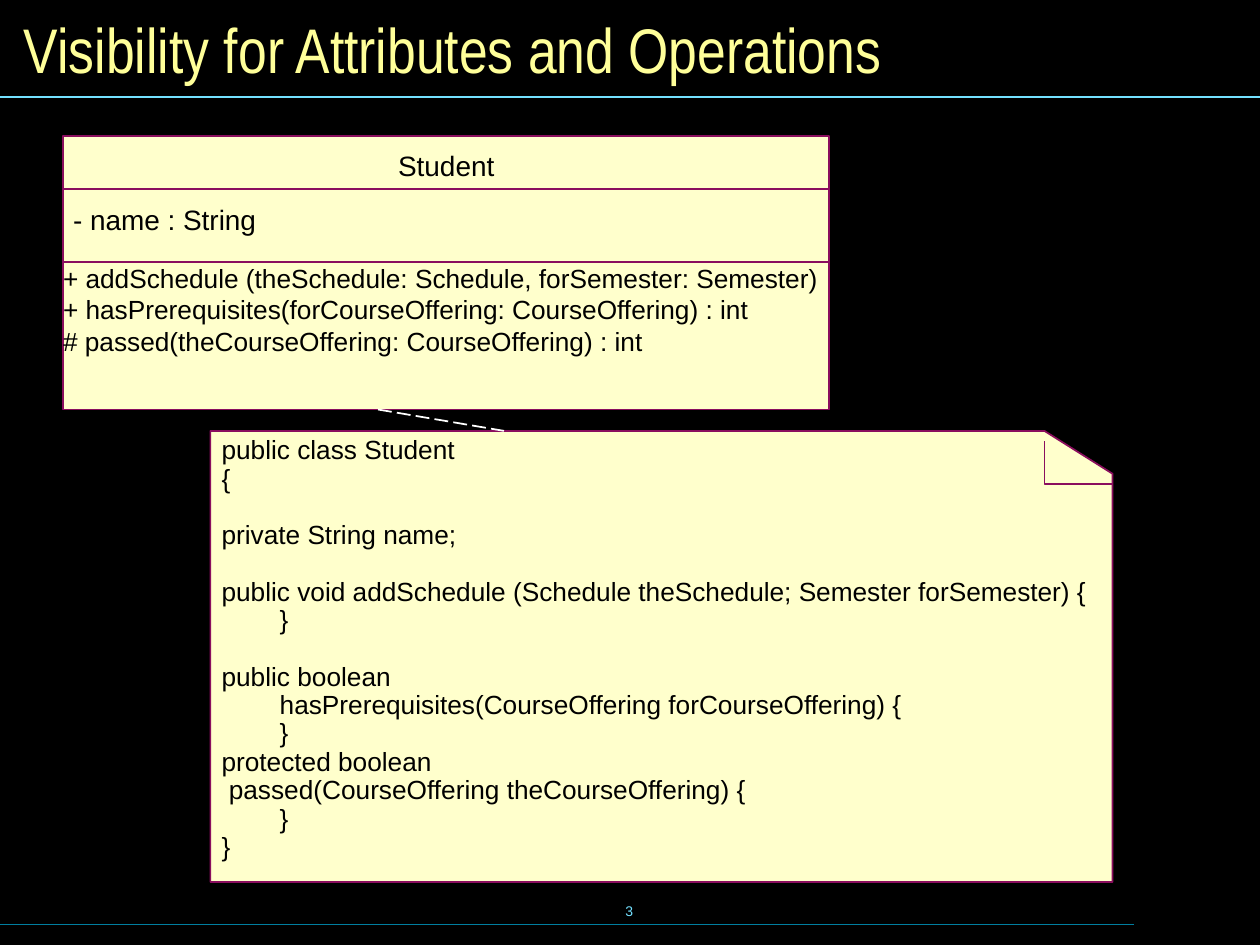
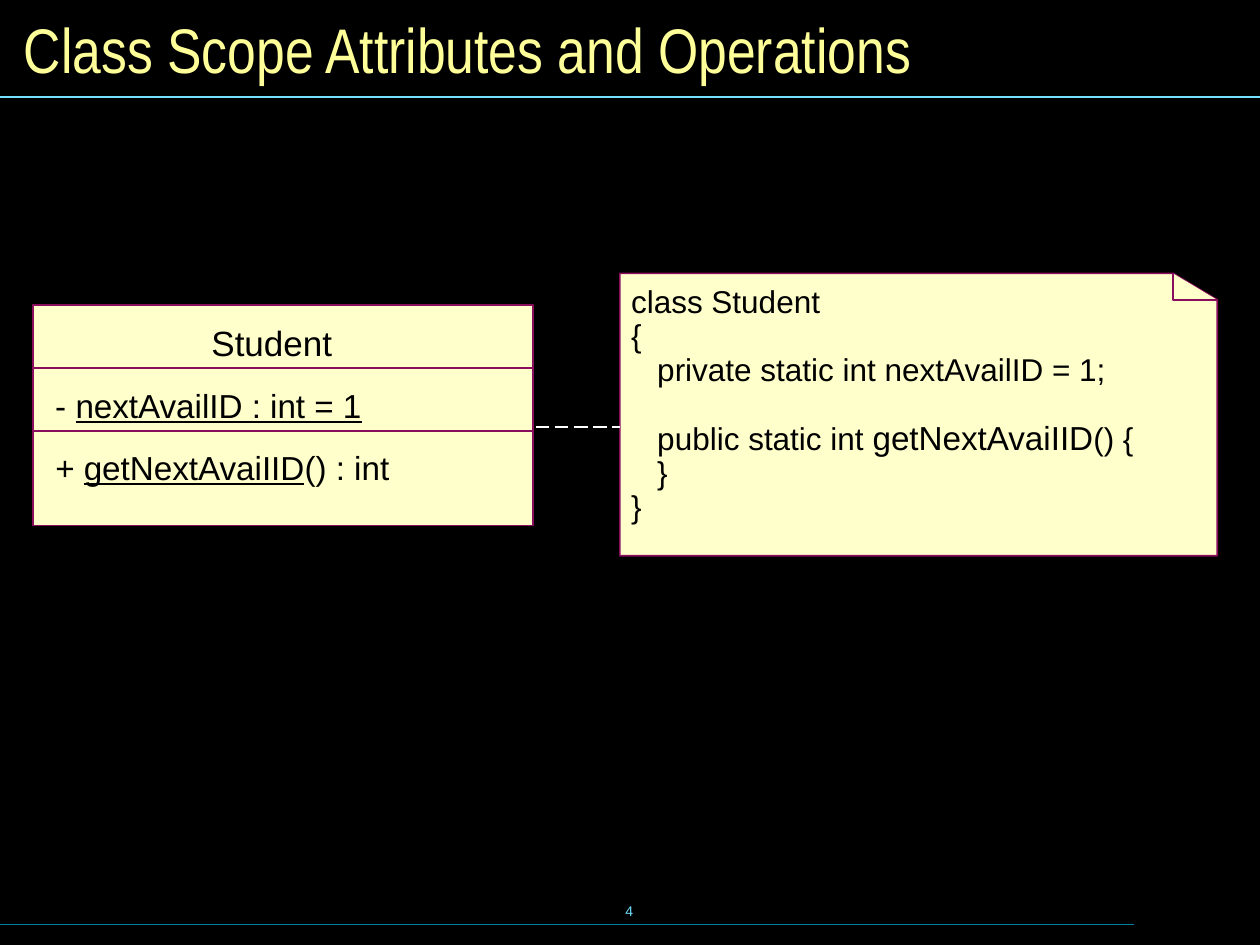
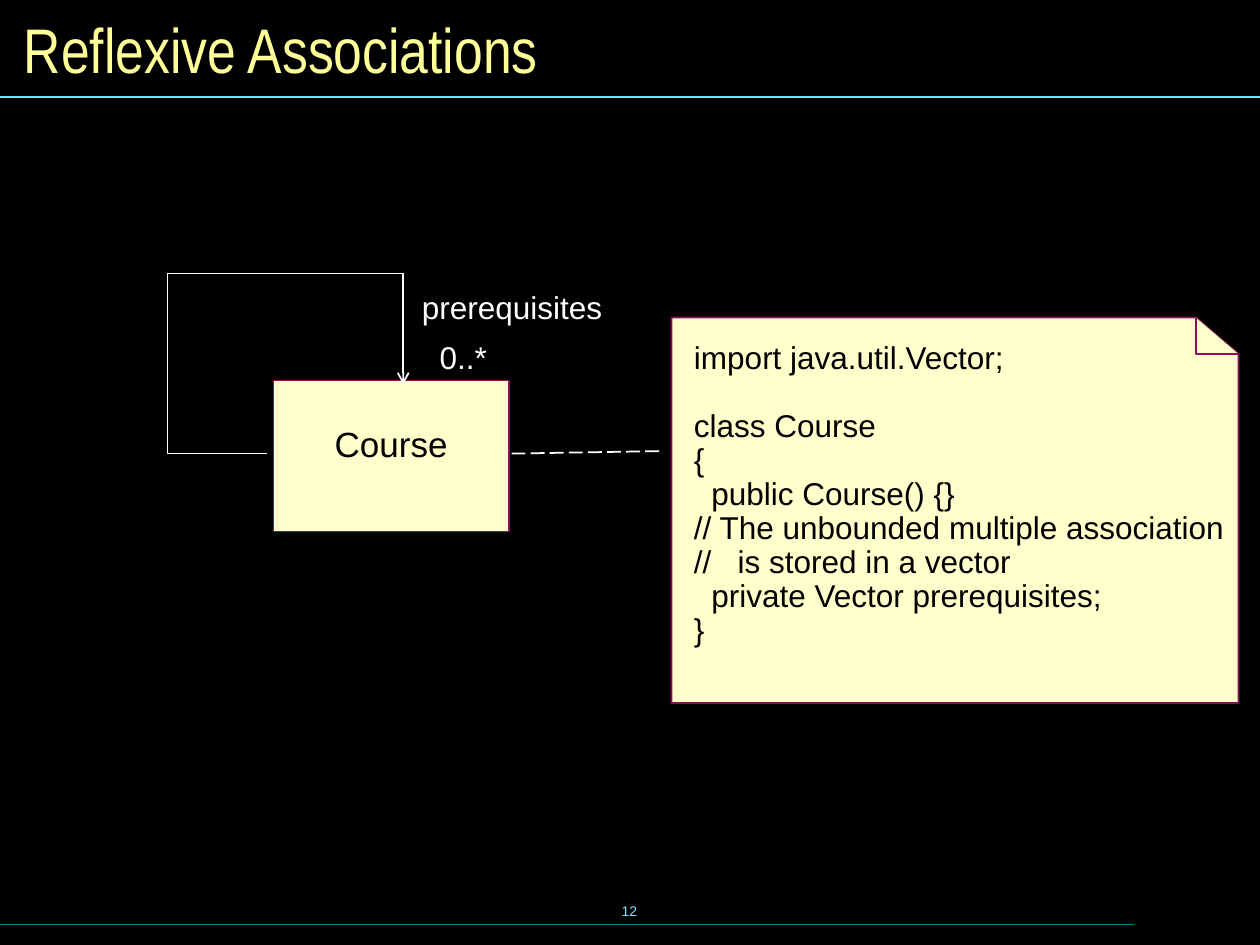
"""Build three slides on class diagrams and the code they stand for."""
import lxml.etree
import pptx
import pptx.dml.color
import pptx.enum.dml
import pptx.enum.shapes
import pptx.enum.text
import pptx.oxml.ns
import pptx.util

RGBColor = pptx.dml.color.RGBColor
Inches = pptx.util.Inches
Pt = pptx.util.Pt
Align = pptx.enum.text.PP_ALIGN
Anchor = pptx.enum.text.MSO_ANCHOR
AutoSize = pptx.enum.text.MSO_AUTO_SIZE
qn = pptx.oxml.ns.qn

BLACK = RGBColor(0x00, 0x00, 0x00)
WHITE = RGBColor(0xFF, 0xFF, 0xFF)
CREAM = RGBColor(0xFF, 0xFF, 0xCC)
PLUM = RGBColor(0x8A, 0x0E, 0x5E)
YELLOW = RGBColor(0xFF, 0xFF, 0x99)
SKY = RGBColor(0x73, 0xE1, 0xFF)
TEAL = RGBColor(0x00, 0x7E, 0x9F)

BODY_FONT = "Arial"
TITLE_FONT = "Arial Narrow"
TITLE_AT = (0.09, 0.09, 9.83, 0.58)
NUMBER_AT = (3.41, 6.98, 3.17, 0.5)
RULES = [((0, 7.34), (9, 7.34), TEAL), ((0, 0.77), (10, 0.77), SKY)]
CODE_SPACING = 0.9
LINE_HEIGHT = 1.19

SLIDES = [
    {
        "title": "Visibility for Attributes and Operations",
        "number": 3,
        "class_box": {"at": (0.5, 1.08, 6.08, 2.17), "border": 0, "dividers": [1.5, 2.08]},
        "note": {"at": (1.67, 3.42, 7.16, 3.58), "fold": (0.54, 0.34), "fold_drop": 0.08},
        "code": {
            "at": (1.66, 3.42, 7.58, 3.47),
            "size": 15,
            "blocks": [
                ["public class Student", "{"],
                ["private String name;"],
                ["public void addSchedule (Schedule theSchedule; Semester forSemester) {",
                 "        }"],
                ["public boolean",
                 "        hasPrerequisites(CourseOffering forCourseOffering) {",
                 "        }",
                 "protected boolean",
                 " passed(CourseOffering theCourseOffering) {",
                 "        }",
                 "}"],
            ],
        },
        "labels": [
            {"at": (3.16, 1.18, 0.82, 0.27), "lines": ["Student"], "size": 16, "inset": 0},
            {"at": (0.58, 1.61, 1.51, 0.27), "lines": ["- name : String"], "size": 16, "inset": 0},
            {"at": (0.5, 2.08, 6.05, 0.75), "size": 15, "inset": 0,
             "lines": ["+ addSchedule (theSchedule: Schedule, forSemester: Semester)",
                       "+ hasPrerequisites(forCourseOffering: CourseOffering) : int",
                       "# passed(theCourseOffering: CourseOffering) : int"]},
        ],
        "note_link": ((3, 3.25), (4, 3.42)),
    },
    {
        "title": "Class Scope Attributes and Operations",
        "number": 4,
        "class_box": {"at": (0.26, 2.42, 3.97, 1.75), "border": 1, "dividers": [2.92, 3.42]},
        "note": {"at": (4.92, 2.17, 4.74, 2.24), "fold": (0.35, 0.21), "fold_drop": 0},
        "code": {
            "at": (4.91, 2.22, 4.92, 2),
            "size": 18,
            "blocks": [
                ["class Student", "{", "   private static int nextAvailID = 1;"],
                [[("   public static int ", {}), ("getNextAvaiIID", {"size": Pt(19)}), ("() {", {})],
                 "   }",
                 "}"],
            ],
        },
        "labels": [
            {"at": (1.58, 2.5, 1.2, 0.43), "lines": ["Student"], "size": 20},
            {"at": (0.34, 3.01, 2.7, 0.42), "size": 19,
             "lines": [[("- ", {}), ("nextAvailID : int = 1", {"underline": True})]]},
            {"at": (0.34, 3.5, 2.92, 0.42), "size": 19,
             "lines": [[("+ ", {}), ("getNextAvaiIID", {"underline": True}), ("() : int", {})]]},
        ],
        "note_link": ((4.25, 3.39), (4.92, 3.39)),
    },
    {
        "title": "Reflexive Associations",
        "number": 12,
        "class_box": {"at": (2.17, 3.02, 1.87, 1.2), "border": 1, "dividers": []},
        "note": {"at": (5.33, 2.52, 4.5, 3.06), "fold": (0.34, 0.29), "fold_drop": 0},
        "code": {
            "at": (5.41, 2.67, 4.5, 2.52),
            "size": 18,
            "blocks": [
                ["import java.util.Vector;"],
                ["class Course",
                 "{",
                 "  public Course() {}",
                 "// The unbounded multiple association",
                 "//   is stored in a vector",
                 "  private Vector prerequisites;",
                 "}"],
            ],
        },
        "labels": [
            {"at": (2.53, 3.34, 1.15, 0.39), "lines": ["Course"], "size": 20,
             "spacing": CODE_SPACING, "align": Align.CENTER},
            {"at": (3.25, 2.27, 1.68, 0.36), "lines": ["prerequisites"], "size": 18,
             "spacing": CODE_SPACING, "color": WHITE},
            {"at": (3.39, 2.67, 0.63, 0.36), "lines": ["0..*"], "size": 18,
             "spacing": CODE_SPACING, "color": WHITE},
        ],
        "note_link": ((4.06, 3.6), (5.25, 3.58)),
        "self_link": [(2.12, 3.6), (1.33, 3.6), (1.33, 2.17), (3.2, 2.17), (3.2, 3.05)],
    },
]


def inches(values):
    return [Inches(value) for value in values]


def set_font(font, size, color, name=BODY_FONT):
    font.size, font.name, font.color.rgb = Pt(size), name, color


def set_frame(frame, inset=0.1, wrap=False, anchor=Anchor.TOP, auto_size=AutoSize.SHAPE_TO_FIT_TEXT):
    frame.margin_left = frame.margin_right = Inches(inset)
    frame.margin_top = frame.margin_bottom = Inches(inset / 2)
    frame.word_wrap, frame.vertical_anchor, frame.auto_size = wrap, anchor, auto_size


def write_line(paragraph, line, size, color):
    parts = [(line, {})] if isinstance(line, str) else line
    for text, changes in parts:
        run = paragraph.add_run()
        run.text = text
        set_font(run.font, size, color)
        for attribute, value in changes.items():
            setattr(run.font, attribute, value)


def add_label(slide, at, lines, size, inset=0.1, spacing=1.0, color=BLACK,
              align=Align.LEFT, wrap=True):
    frame = slide.shapes.add_textbox(*inches(at)).text_frame
    set_frame(frame, inset, wrap)
    for index, line in enumerate(lines):
        paragraph = frame.add_paragraph() if index else frame.paragraphs[0]
        paragraph.alignment, paragraph.line_spacing = align, spacing
        write_line(paragraph, line, size, color)
    return frame


def add_code(slide, at, size, blocks):
    lines = [line for block in blocks for line in block]
    frame = add_label(slide, at, lines, size, spacing=CODE_SPACING)
    start = 0
    for block in blocks[:-1]:
        start += len(block)
        frame.paragraphs[start].space_before = Pt(round(size * LINE_HEIGHT * CODE_SPACING, 1))


def add_line(shapes, start, end, color, width=1.0, dashed=False, arrow=False):
    connector = shapes.add_connector(pptx.enum.shapes.MSO_CONNECTOR.STRAIGHT, *inches(start + end))
    connector.line.color.rgb, connector.line.width = color, Pt(width)
    if dashed:
        connector.line.dash_style = pptx.enum.dml.MSO_LINE.LONG_DASH
    properties = connector.element.spPr
    if arrow:
        lxml.etree.SubElement(properties.find(qn("a:ln")), qn("a:tailEnd"), type="arrow")
    lxml.etree.SubElement(properties, qn("a:effectLst"))


def paint(shape, border=1):
    shape.shadow.inherit = False
    shape.fill.solid()
    shape.fill.fore_color.rgb = CREAM
    shape.line.color.rgb, shape.line.width = PLUM, Pt(border)


def add_outline(slide, points, close):
    start, *others = [inches(point) for point in points]
    builder = slide.shapes.build_freeform(*start)
    builder.add_line_segments(others, close=close)
    paint(builder.convert_to_shape())


def add_note(slide, at, fold, fold_drop):
    left, top, width, height = at
    right, bottom = left + width, top + height
    fold_x, fold_y = right - fold[0], top + fold[1]
    add_outline(slide, [(right, bottom), (left, bottom), (left, top), (fold_x, top), (right, fold_y)], True)
    add_outline(slide, [(right, fold_y + fold_drop), (fold_x, fold_y + fold_drop), (fold_x, top + fold_drop)], False)


def add_class_box(slide, at, border, dividers):
    box = slide.shapes.add_shape(pptx.enum.shapes.MSO_SHAPE.RECTANGLE, *inches(at))
    paint(box, border)
    left, _, width, _ = at
    for y in dividers:
        add_line(slide.shapes, (left, y), (left + width, y), PLUM)


def add_frame(slide, title, number):
    for start, end, color in RULES:
        add_line(slide.shapes, start, end, color, 0.75)
    page = slide.shapes.add_textbox(*inches(NUMBER_AT)).text_frame
    set_frame(page, anchor=Anchor.MIDDLE, auto_size=AutoSize.NONE)
    page.text = str(number)
    page.paragraphs[0].alignment = Align.CENTER
    set_font(page.paragraphs[0].runs[0].font, 8, SKY)

    heading = slide.shapes.title
    heading.left, heading.top, heading.width, heading.height = inches(TITLE_AT)
    set_frame(heading.text_frame, wrap=True, anchor=Anchor.MIDDLE, auto_size=AutoSize.NONE)
    heading.text_frame.text = title
    heading.text_frame.paragraphs[0].alignment = Align.LEFT
    set_font(heading.text_frame.paragraphs[0].runs[0].font, 36, YELLOW, TITLE_FONT)


def main():
    deck = pptx.Presentation()
    deck.slide_width, deck.slide_height = Inches(10), Inches(7.5)
    background = deck.slide_master.background.fill
    background.solid()
    background.fore_color.rgb = BLACK
    for content in SLIDES:
        slide = deck.slides.add_slide(deck.slide_layouts[5])
        add_frame(slide, content["title"], content["number"])
        add_note(slide, **content["note"])
        add_class_box(slide, **content["class_box"])
        add_line(slide.shapes, *content["note_link"], WHITE, dashed=True)
        add_code(slide, **content["code"])
        for label in content["labels"]:
            add_label(slide, **label)
        corners = content.get("self_link")
        if corners:
            loop = slide.shapes.add_group_shape().shapes
            for start, end in zip(corners, corners[1:]):
                add_line(loop, start, end, WHITE, arrow=end == corners[-1])
    deck.save("out.pptx")


if __name__ == "__main__":
    main()
